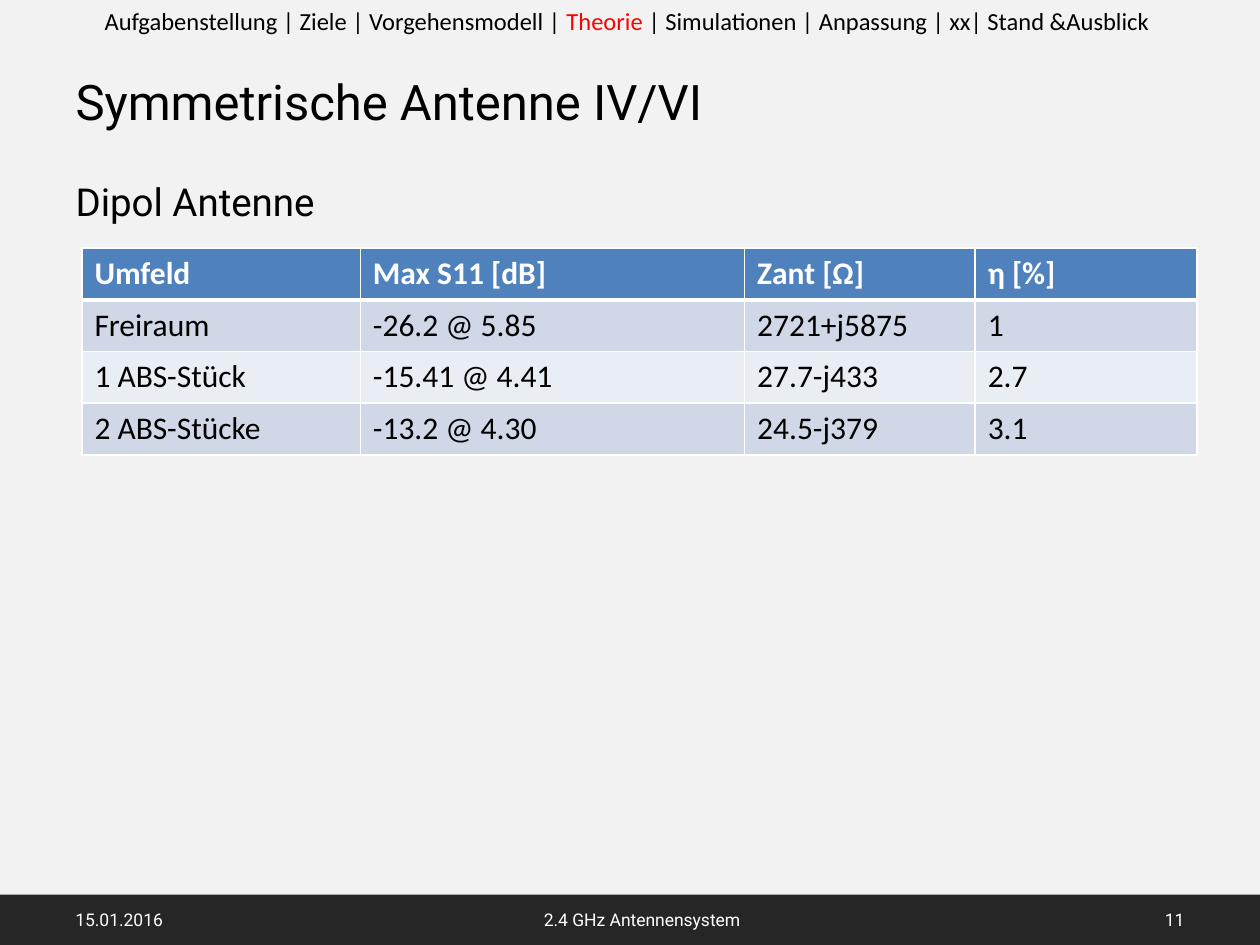
from dataclasses import dataclass

from lxml import etree
from pptx import Presentation
from pptx import util as u
from pptx.dml.color import RGBColor
from pptx.enum import shapes, text
from pptx.oxml import ns

COLS, ROWS = 100, 75
LEFT, CENTER, RIGHT = text.PP_ALIGN.LEFT, text.PP_ALIGN.CENTER, text.PP_ALIGN.RIGHT
TOP, MIDDLE = text.MSO_ANCHOR.TOP, text.MSO_ANCHOR.MIDDLE


@dataclass(frozen=True)
class Theme:
    paper: str = "F2F2F2"
    ink: str = "000000"
    white: str = "FFFFFF"
    accent: str = "FF0000"
    bar: str = "262626"
    head: str = "4F81BD"
    bands: tuple = ("D0D8E8", "E9EDF4")
    display: str = "Roboto"
    plain: str = "Calibri"
    title: int = 28
    body: int = 22
    cell: int = 18
    nav: int = 14
    footer: int = 10


def write(tf, runs, size, font, color, bold=False, align=LEFT, anchor=TOP):
    tf.word_wrap = True
    tf.auto_size = text.MSO_AUTO_SIZE.NONE
    tf.vertical_anchor = anchor
    p = tf.paragraphs[0]
    p.alignment = align
    p.space_before = u.Pt(0)
    for content, tint in [(runs, color)] if isinstance(runs, str) else runs:
        r = p.add_run()
        r.text = content
        r.font.size, r.font.name, r.font.bold = u.Pt(size), font, bold
        r.font.color.rgb = RGBColor.from_string(tint)
    return p


def border(cell, color, **widths):
    tcPr = cell._tc.get_or_add_tcPr()
    for i, side in enumerate("LRTB"):
        ln = etree.Element(ns.qn(f"a:ln{side}"), w=str(u.Pt(widths.get(side, 1))))
        fill = etree.SubElement(ln, ns.qn("a:solidFill"))
        etree.SubElement(fill, ns.qn("a:srgbClr"), val=color)
        tcPr.insert(i, ln)


class Deck:
    def __init__(self, prs, theme):
        self.prs, self.theme = prs, theme
        self.s = prs.slides.add_slide(prs.slide_layouts[1])
        self.paint(self.s.background.fill, theme.paper)

    def paint(self, fill, color):
        fill.solid()
        fill.fore_color.rgb = RGBColor.from_string(color)

    def x(self, cols):
        return round(self.prs.slide_width * cols / COLS)

    def y(self, rows):
        return round(self.prs.slide_height * rows / ROWS)

    def box(self, left, top, width, height):
        return self.x(left), self.y(top), self.x(width), self.y(height)

    def placeholder(self, idx, at, content, size):
        sp = self.s.placeholders[idx]
        sp.left, sp.top, sp.width, sp.height = self.box(*at)
        return write(sp.text_frame, content, size, self.theme.display, self.theme.ink)

    def title(self, at, content):
        self.placeholder(0, at, content, self.theme.title)

    def body(self, at, content):
        p = self.placeholder(1, at, content, self.theme.body)
        pPr = p._p.get_or_add_pPr()
        pPr.set("marL", "0")
        pPr.set("indent", "0")
        etree.SubElement(pPr, ns.qn("a:buNone"))

    def bar(self, at, color):
        sp = self.s.shapes.add_shape(shapes.MSO_SHAPE.RECTANGLE, *self.box(*at))
        sp.shadow.inherit = False
        self.paint(sp.fill, color)
        sp.line.fill.background()

    def label(self, at, content, **fmt):
        sp = self.s.shapes.add_textbox(*self.box(*at))
        write(sp.text_frame, content, **fmt)

    def table(self, at, widths, rows):
        t = self.theme
        tbl = self.s.shapes.add_table(len(rows), len(widths), *self.box(*at)).table
        for col, width in zip(tbl.columns, widths):
            col.width = self.x(width)
        for i, row in enumerate(rows):
            head = i == 0
            for j, content in enumerate(row):
                cell = tbl.cell(i, j)
                self.paint(cell.fill, t.head if head else t.bands[(i - 1) % 2])
                border(cell, t.white, B=3 if head else 1, T=3 if i == 1 else 1)
                write(cell.text_frame, content, size=t.cell, font=t.plain,
                      color=t.white if head else t.ink, bold=head)


def main():
    prs = Presentation()
    prs.slide_width, prs.slide_height = u.Inches(10), u.Inches(7.5)
    t = Theme()
    deck = Deck(prs, t)

    deck.bar((0, 71, COLS, 4), t.bar)
    deck.title((5, 5.2, 90, 5.8), "Symmetrische Antenne IV/VI")
    deck.body((5, 13.6, 90, 53.4), "Dipol Antenne")
    for left, width, content, align in (
        (5, 23.3, "15.01.2016", LEFT),
        (34.2, 33.5, "2.4 GHz Antennensystem", CENTER),
        (71.7, 23.3, "11", RIGHT),
    ):
        deck.label((left, 71, width, 4), content, size=t.footer, font=t.display,
                   color=t.white, align=align, anchor=MIDDLE)
    deck.label(
        (0, 0, COLS, 3.4),
        [("Aufgabenstellung | Ziele | Vorgehensmodell | ", t.ink),
         ("Theorie ", t.accent),
         ("| Simulationen | Anpassung | xx| Stand &Ausblick ", t.ink)],
        size=t.nav, font=t.plain, color=t.ink, align=CENTER)
    deck.table((6.5, 19.7, 88.5, 16.4), (22.1, 30.5, 18.3, 17.6), (
        ("Umfeld", "Max S11 [dB]", "Zant [Ω]", "η [%]"),
        ("Freiraum", "-26.2 @ 5.85", "2721+j5875", "1"),
        ("1 ABS-Stück", "-15.41 @ 4.41", "27.7-j433", "2.7"),
        ("2 ABS-Stücke", "-13.2 @ 4.30", "24.5-j379", "3.1"),
    ))
    prs.save("out.pptx")


if __name__ == "__main__":
    main()
